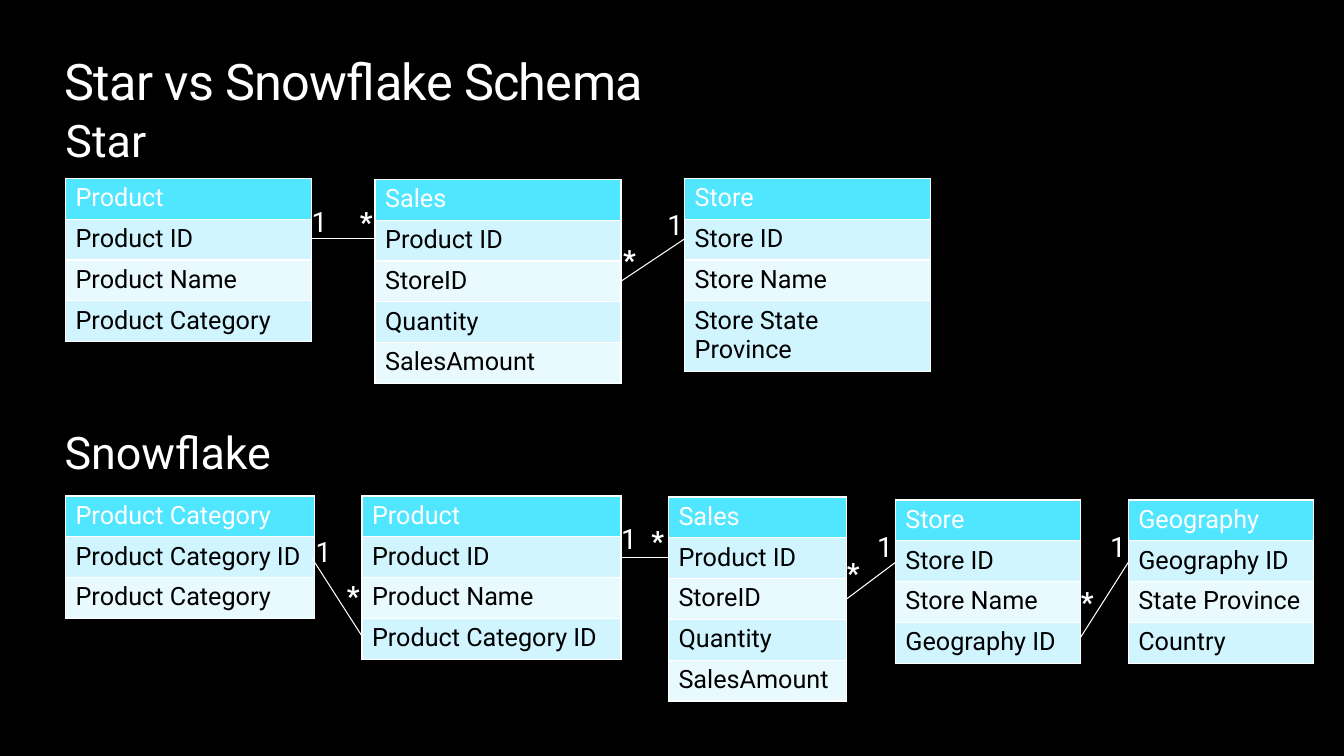
import pptx
import pptx.dml.color
import pptx.enum.shapes
import pptx.enum.text
import pptx.oxml
import pptx.oxml.ns
import pptx.util

Inches = pptx.util.Inches
WHITE, BLACK = "FFFFFF", "000000"
HEADER, BANDS = "50E6FF", ("E9FAFF", "D0F5FF")
ROW_HEIGHT = 0.405


def color(hex_code):
    return pptx.dml.color.RGBColor.from_string(hex_code)


def write(frame, text, size, hex_code=WHITE, bold=False):
    frame.word_wrap = True
    para = frame.paragraphs[0]
    para.alignment = pptx.enum.text.PP_ALIGN.LEFT
    span = para.add_run()
    span.text = text
    span.font.name = "Roboto"
    span.font.size = pptx.util.Pt(size)
    span.font.bold = bold
    span.font.color.rgb = color(hex_code)
    return span


deck = pptx.Presentation()
deck.slide_width, deck.slide_height = Inches(13.33), Inches(7.5)
page = deck.slides.add_slide(deck.slide_layouts[5])
page.background.fill.solid()
page.background.fill.fore_color.rgb = color(BLACK)

# Title
title = page.shapes.title
title.left, title.top = Inches(0.64), Inches(0.5)
title.width, title.height = Inches(12.05), Inches(0.61)
title_span = write(title.text_frame, "Star vs Snowflake Schema", 36)
title_span.font._element.set("spc", "-50")

# Schema tables: left, top, width, header followed by fields
tables = [
    (0.65, 1.77, 2.44, ["Product", "Product ID", "Product Name", "Product Category"]),
    (6.79, 1.77, 2.44, ["Store", "Store ID", "Store Name", "Store State Province"]),
    (3.72, 1.78, 2.44, ["Sales", "Product ID", "StoreID", "Quantity", "SalesAmount"]),
    (3.59, 4.92, 2.57, ["Product", "Product ID", "Product Name", "Product Category ID"]),
    (6.63, 4.93, 1.77, ["Sales", "Product ID", "StoreID", "Quantity", "SalesAmount"]),
    (0.65, 4.92, 2.47, ["Product Category", "Product Category ID", "Product Category"]),
    (8.88, 4.96, 1.84, ["Store", "Store ID", "Store Name", "Geography ID"]),
    (11.19, 4.96, 1.84, ["Geography", "Geography ID", "State Province", "Country"]),
]
for left, top, width, names in tables:
    table = page.shapes.add_table(
        len(names), 1, Inches(left), Inches(top),
        Inches(width), Inches(ROW_HEIGHT * len(names))).table
    table.horz_banding = False
    for index, name in enumerate(names):
        table.rows[index].height = Inches(ROW_HEIGHT)
        cell = table.cell(index, 0)
        cell.fill.solid()
        cell.fill.fore_color.rgb = color(BANDS[index % 2] if index else HEADER)
        write(cell.text_frame, name, 18, BLACK if index else WHITE)
        properties = cell._tc.get_or_add_tcPr()
        for position, side in enumerate("LRTB"):
            properties.insert(position, pptx.oxml.parse_xml(
                f'<a:ln{side} {pptx.oxml.ns.nsdecls("a")} w="12700"><a:solidFill>'
                f'<a:srgbClr val="{WHITE}"/></a:solidFill></a:ln{side}>'))

# Relationship lines
relationships = [
    (3.09, 2.37, 3.72, 2.37),
    (6.16, 2.79, 6.79, 2.37),
    (3.09, 5.53, 3.59, 6.31),
    (6.16, 5.53, 6.63, 5.53),
    (8.4, 5.94, 8.88, 5.58),
    (10.72, 6.32, 11.19, 5.58),
]
for ends in relationships:
    line = page.shapes.add_connector(
        pptx.enum.shapes.MSO_CONNECTOR.STRAIGHT, *map(Inches, ends))
    line.line.color.rgb = color(WHITE)
    line.line.width = pptx.util.Pt(0.75)
    line._element.spPr.append(
        pptx.oxml.parse_xml(f'<a:effectLst {pptx.oxml.ns.nsdecls("a")}/>'))

# Section headings and cardinality marks: text, left, top, width, height, size
ones = [(3.09, 2.03), (6.62, 2.06), (3.13, 5.3), (6.16, 5.17), (8.7, 5.25), (11.01, 5.25)]
manys = [(3.57, 2.03), (6.18, 2.41), (3.44, 5.74), (6.46, 5.19), (8.4, 5.51), (10.72, 5.8)]
labels = [("Star", 0.65, 1.12, 1.37, 0.54, 32), ("Snowflake", 0.64, 4.21, 2.78, 0.54, 32)]
labels += [("1", left, top, 0.24, 0.34, 20) for left, top in ones]
labels += [("*", left, top, 0.16, 0.34, 20) for left, top in manys]
frames = [title.text_frame]
for text, left, top, width, height, size in labels:
    box = page.shapes.add_textbox(Inches(left), Inches(top), Inches(width), Inches(height))
    write(box.text_frame, text, size, bold=text == "*")
    frames.append(box.text_frame)

# Title and labels sit flush with their boxes
for frame in frames:
    frame.margin_left = frame.margin_right = frame.margin_top = frame.margin_bottom = 0
    frame.vertical_anchor = pptx.enum.text.MSO_ANCHOR.TOP
    frame.auto_size = pptx.enum.text.MSO_AUTO_SIZE.SHAPE_TO_FIT_TEXT

deck.save("out.pptx")
